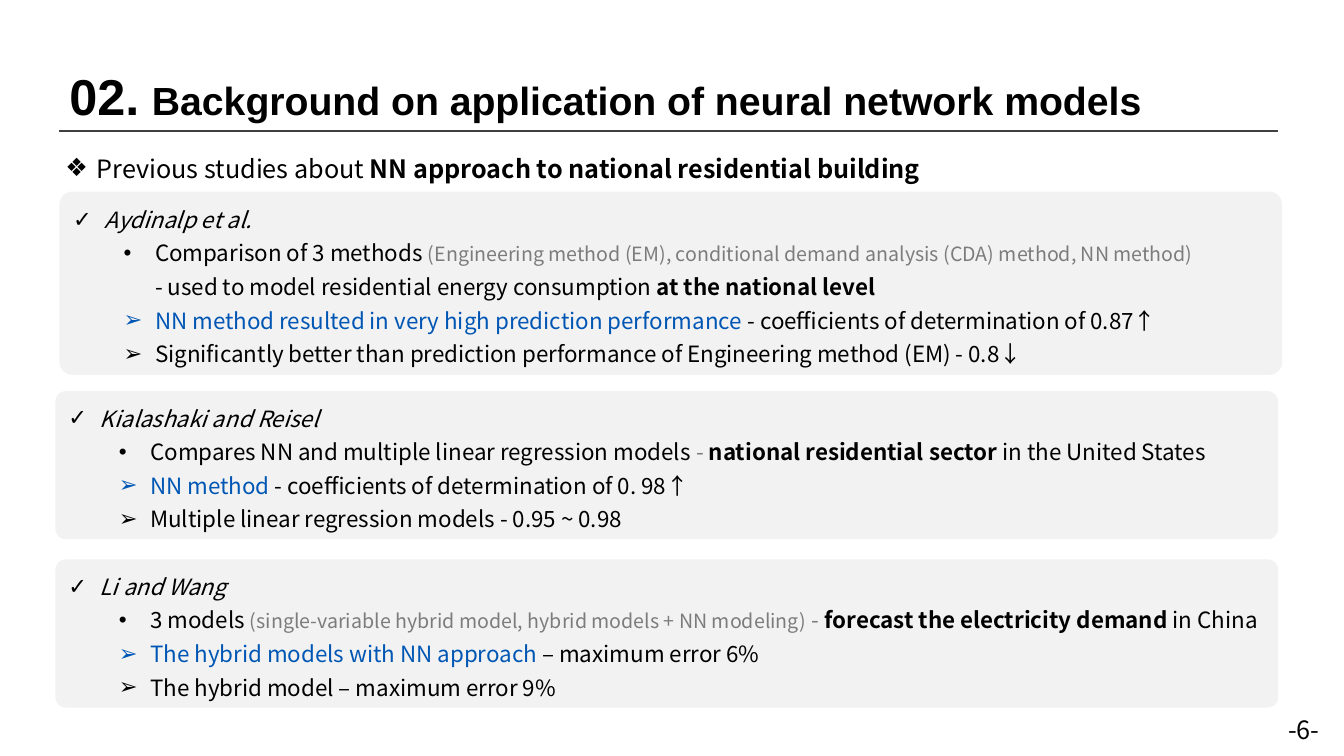
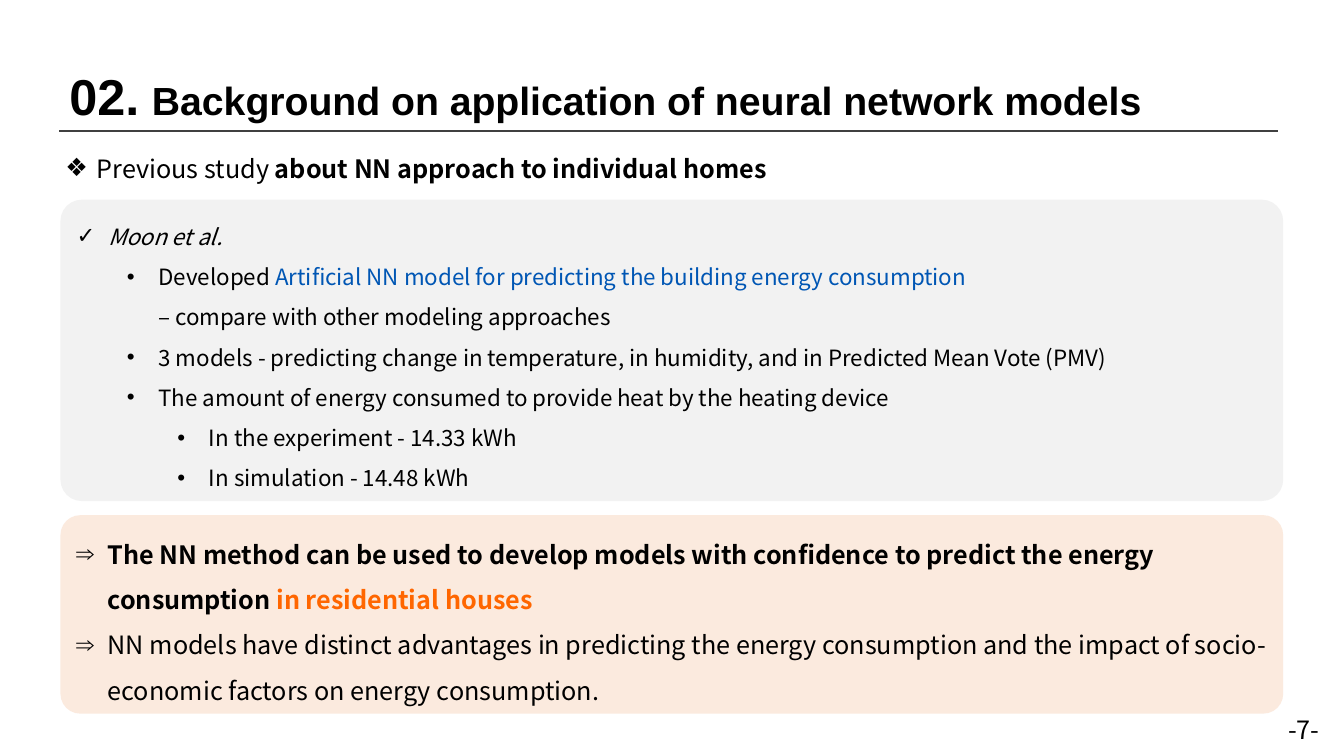
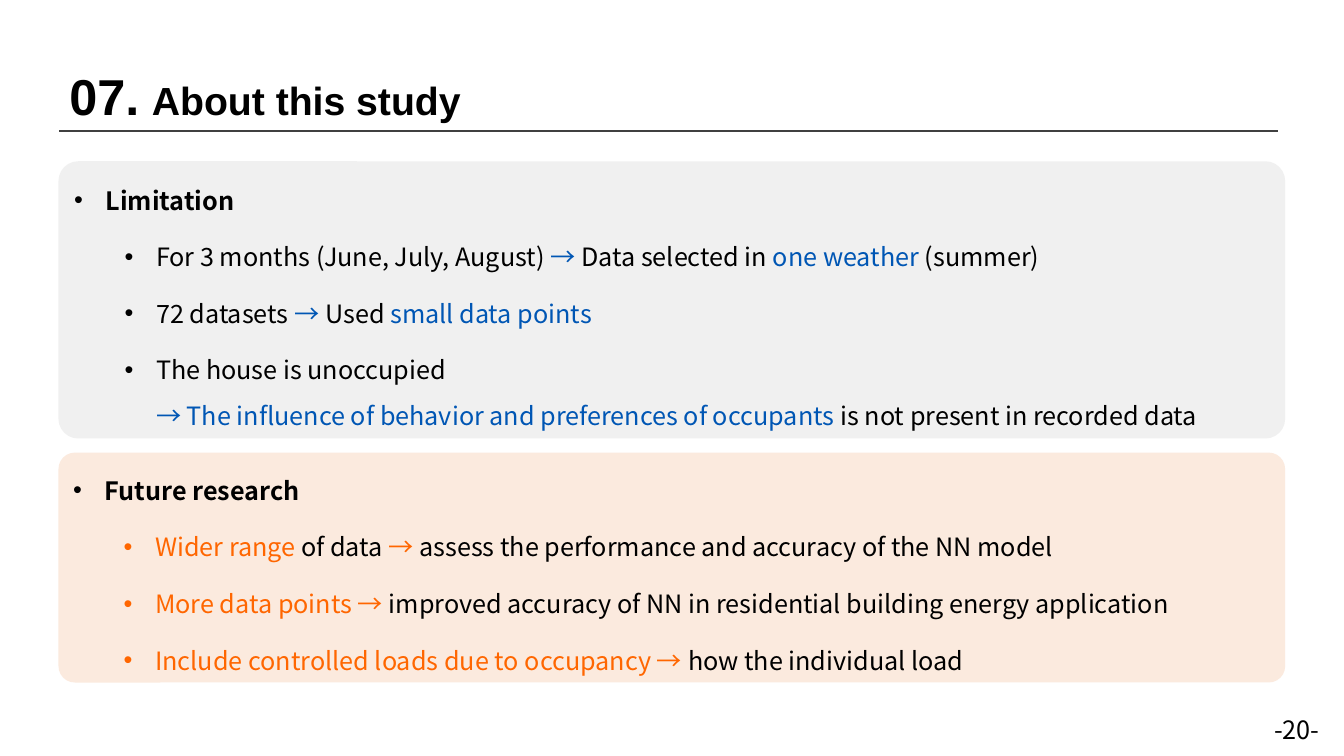
from copy import deepcopy

from lxml.etree import SubElement
from pptx import Presentation
from pptx.dml.color import RGBColor
from pptx.enum.shapes import MSO_CONNECTOR, MSO_SHAPE
from pptx.enum.text import MSO_ANCHOR, MSO_AUTO_SIZE, PP_ALIGN
from pptx.oxml.ns import qn
from pptx.util import Pt

BLACK = RGBColor(0x00, 0x00, 0x00)
RULE = RGBColor(0x40, 0x40, 0x40)
GRAY = RGBColor(0x7C, 0x7C, 0x7C)
BLUE = RGBColor(0x00, 0x56, 0xB4)
ORANGE = RGBColor(0xFF, 0x66, 0x00)
LIGHT = RGBColor(0xF2, 0xF2, 0xF2)
SILVER = RGBColor(0xED, 0xED, 0xED)
PEACH = RGBColor(0xFB, 0xE5, 0xD6)

HEAD_FONT = "Arial"
BODY_FONT = "Noto Sans CJK KR"
INDENT, LEVEL_STEP = 22.5, 36

STYLES = {
    "plain": {},
    "bold": {"bold": True},
    "italic": {"italic": True},
    "gray": {"color": GRAY},
    "note": {"color": GRAY, "size": 14},
    "blue": {"color": BLUE},
    "orange": {"color": ORANGE},
    "bold orange": {"color": ORANGE, "bold": True},
}

NN_TITLE = ("02.", "Background on application of neural network models")

SLIDES = [
    {
        "title": NN_TITLE,
        "page": "-6-",
        "topic": ["Previous studies about ", ("NN approach to national residential building", "bold")],
        "panels": [
            {"box": (42.5, 136.8, 873.4, 131), "fill": LIGHT, "size": 16, "spacing": 1.25, "items": [
                (0, "✓", [("Aydinalp et al.", "italic")]),
                (1, "•", ["Comparison of 3 methods ",
                          ("(Engineering method (EM), conditional demand analysis (CDA) method, NN method)", "note"),
                          "\n", "- used to model residential energy consumption ",
                          ("at the national level", "bold")]),
                (1, "➢", [("NN method resulted in very high prediction performance ", "blue"),
                          "- coefficients of determination of 0.87↑"]),
                (1, "➢", ["Significantly better than prediction performance of Engineering method (EM) - 0.8↓"]),
            ]},
            {"box": (39.6, 279.4, 873.4, 105.8), "fill": LIGHT, "size": 16, "spacing": 1.25, "items": [
                (0, "✓", [("Kialashaki and Reisel", "italic")]),
                (1, "•", ["Compares NN and multiple linear regression models ", ("- ", "gray"),
                          ("national residential sector ", "bold"), "in the United States"]),
                (1, "➢", [("NN method ", "blue"), "- coefficients of determination of 0. 98↑"]),
                (1, "➢", ["Multiple linear regression models - 0.95 ~ 0.98"]),
            ]},
            {"box": (39.6, 399.6, 873.4, 105.8), "fill": LIGHT, "size": 16, "spacing": 1.25, "items": [
                (0, "✓", [("Li and Wang", "italic")]),
                (1, "•", ["3 models ",
                          ("(single-variable hybrid model, hybrid models + NN modeling)", "note"),
                          (" - ", "gray"), ("forecast the electricity demand ", "bold"), "in China"]),
                (1, "➢", [("The hybrid models with NN approach ", "blue"), "– maximum error 6%"]),
                (1, "➢", ["The hybrid model – maximum error 9%"]),
            ]},
        ],
    },
    {
        "title": NN_TITLE,
        "page": "-7-",
        "topic": ["Previous study ", ("about NN approach to individual homes", "bold")],
        "panels": [
            {"box": (43.2, 142.6, 873.4, 215.3), "fill": LIGHT, "size": 16, "spacing": 1.5, "items": [
                (0, "✓", [("Moon et al.", "italic")]),
                (1, "•", ["Developed ",
                          ("Artificial NN model for predicting the building energy consumption", "blue"),
                          "\n", "– compare with other modeling approaches"]),
                (1, "•", ["3 models - predicting change in temperature, in humidity, "
                          "and in Predicted Mean Vote (PMV)"]),
                (1, "•", ["The amount of energy consumed to provide heat by the heating device"]),
                (2, "•", ["In the experiment - 14.33 kWh"]),
                (2, "•", ["In simulation - 14.48 kWh"]),
            ]},
            {"box": (43.2, 368, 873.4, 141.8), "fill": PEACH, "alpha": 80, "corner": 0.1,
             "size": 18, "spacing": 1.5, "items": [
                (0, "⇒", [("The NN method can be used to develop models with confidence "
                           "to predict the energy consumption ", "bold"),
                          ("in residential houses", "bold orange")]),
                (0, "⇒", ["NN models have distinct advantages in predicting the energy consumption "
                          "and the impact of socio-economic factors on energy consumption."]),
            ]},
        ],
    },
    {
        "title": ("07.", "About this study"),
        "page": "-20-",
        "panels": [
            {"box": (41.8, 115.2, 876.2, 198), "fill": SILVER, "alpha": 80,
             "size": 18, "spacing": 1.5, "after": 8, "items": [
                (0, "•", [("Limitation", "bold")]),
                (1, "•", ["For 3 months (June, July, August) ", ("→ ", "blue"), "Data selected in ",
                          ("one weather ", "blue"), "(summer)"]),
                (1, "•", ["72 datasets ", ("→", "blue"), " Used ", ("small data points", "blue")]),
                (1, "•", ["The house is unoccupied", "\n",
                          ("→ The influence of behavior and preferences of occupants ", "blue"),
                          "is not present in recorded data"]),
            ]},
            {"box": (41.8, 323.3, 876.2, 164.2), "fill": PEACH, "alpha": 80,
             "size": 18, "spacing": 1.5, "after": 8, "items": [
                (0, "•", [("Future research", "bold")]),
                (1, "•", [("Wider range ", "orange"), "of data ", ("→ ", "orange"),
                          "assess the performance and accuracy of the NN model"]),
                (1, "•", [("More data points → ", "orange"),
                          "improved accuracy of NN in residential building energy application"]),
                (1, "•", [("Include controlled loads due to occupancy → ", "orange"),
                          "how the individual load"]),
            ]},
        ],
    },
]


def format_run(r, size, font=BODY_FONT, color=BLACK, bold=False, italic=False):
    r.font.size = Pt(size)
    r.font.name = font
    r.font.color.rgb = color
    r.font.bold = bold
    r.font.italic = italic
    SubElement(r._r.rPr, qn("a:ea"), typeface=font)


def add_runs(p, runs, size):
    for run in runs:
        if run == "\n":
            p.add_line_break()
            p._p[-1].append(deepcopy(r._r.rPr))
            continue
        text, style = (run, "plain") if isinstance(run, str) else run
        r = p.add_run()
        r.text = text
        format_run(r, **{"size": size, **STYLES[style]})


def set_bullet(p, char, level):
    p.level = level
    pPr = p._p.get_or_add_pPr()
    pPr.set("marL", str(Pt(INDENT + LEVEL_STEP * level)))
    pPr.set("indent", str(-Pt(INDENT)))
    SubElement(pPr, qn("a:buFont"), typeface=HEAD_FONT)
    SubElement(pPr, qn("a:buChar"), char=char)


def add_text_box(s, left, top, width, height):
    tf = s.shapes.add_textbox(Pt(left), Pt(top), Pt(width), Pt(height)).text_frame
    tf.word_wrap = True
    tf.auto_size = MSO_AUTO_SIZE.SHAPE_TO_FIT_TEXT
    return tf.paragraphs[0]


def add_title(s, number, title):
    p = add_text_box(s, 42.5, 43.2, 870.5, 51)
    for text, size in ((number, 36), (" ", 32), (title, 28)):
        r = p.add_run()
        r.text = text
        format_run(r, size, HEAD_FONT, bold=True)
    rule = s.shapes.add_connector(MSO_CONNECTOR.STRAIGHT, Pt(42.5), Pt(93.6), Pt(913), Pt(93.6))
    rule.line.color.rgb = RULE
    rule.line.width = Pt(1)
    SubElement(rule._element.spPr, qn("a:effectLst"))


def add_page_number(s, page):
    width = 21 + 10 * (len(page) - 1)
    add_runs(add_text_box(s, 954 - width, 506.9, width, 29), [page], 18)


def add_topic(s, runs):
    p = add_text_box(s, 39.6, 105.8, 843, 29)
    set_bullet(p, "❖", 0)
    add_runs(p, runs, 18)


def add_panel(s, box, fill, size, spacing, items, after=0, alpha=100, corner=0.071):
    sp = s.shapes.add_shape(MSO_SHAPE.ROUNDED_RECTANGLE, *map(Pt, box))
    sp.adjustments[0] = corner
    sp.shadow.inherit = False
    sp.fill.solid()
    sp.fill.fore_color.rgb = fill
    if alpha < 100:
        color = sp._element.spPr.find(qn("a:solidFill"))[0]
        SubElement(color, qn("a:alpha"), val=str(alpha * 1000))
    sp.line.fill.background()
    tf = sp.text_frame
    tf.word_wrap = True
    tf.auto_size = MSO_AUTO_SIZE.SHAPE_TO_FIT_TEXT
    tf.vertical_anchor = MSO_ANCHOR.MIDDLE
    for i, (level, char, runs) in enumerate(items):
        p = tf.add_paragraph() if i else tf.paragraphs[0]
        p.alignment = PP_ALIGN.LEFT
        p.line_spacing = spacing
        p.space_after = Pt(after)
        set_bullet(p, char, level)
        add_runs(p, runs, size)


def main():
    prs = Presentation()
    prs.slide_width, prs.slide_height = Pt(960), Pt(540)
    for content in SLIDES:
        s = prs.slides.add_slide(prs.slide_layouts[6])
        add_title(s, *content["title"])
        add_page_number(s, content["page"])
        if "topic" in content:
            add_topic(s, content["topic"])
        for panel in content["panels"]:
            add_panel(s, **panel)
    prs.save("out.pptx")


if __name__ == "__main__":
    main()
